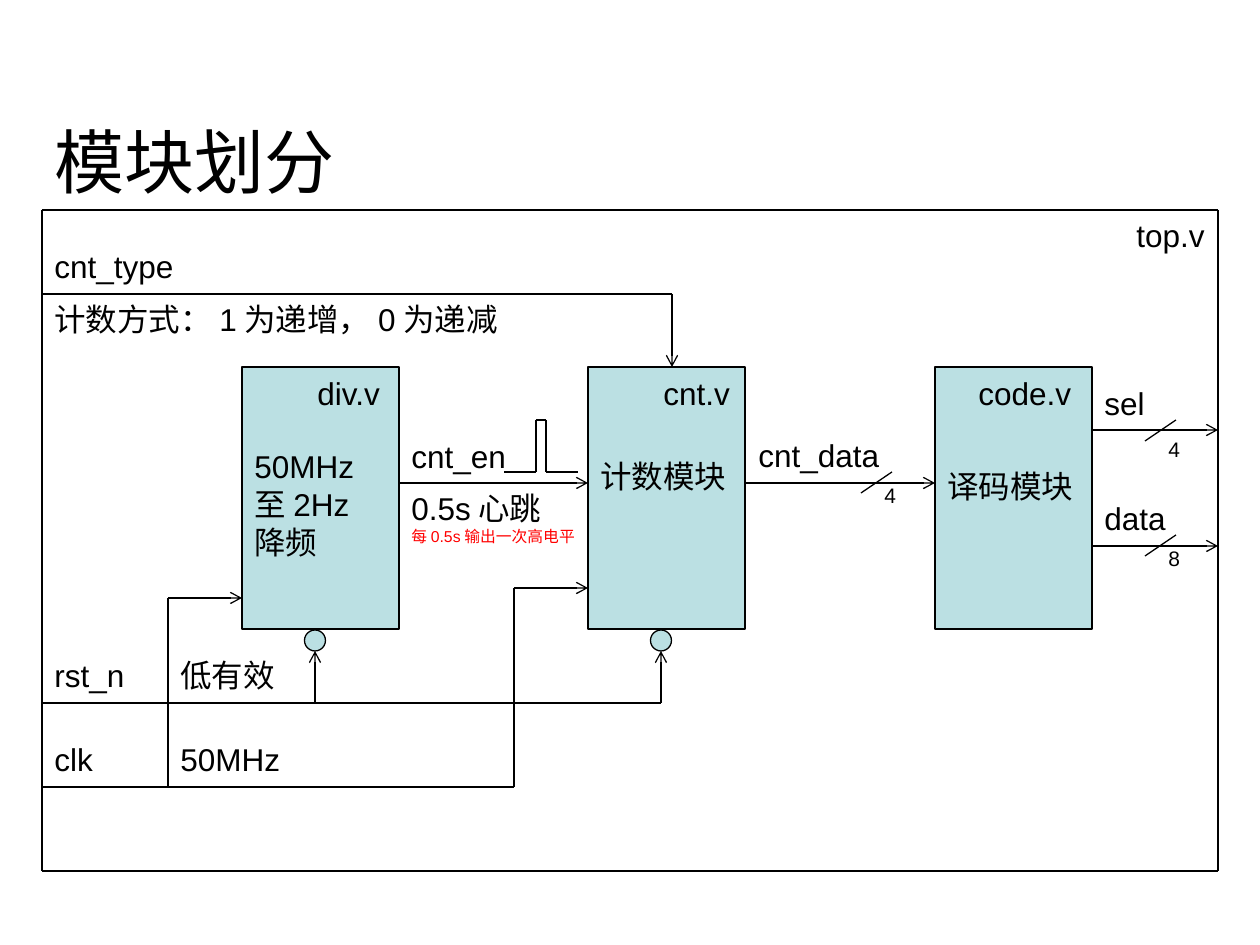
from lxml import etree
from pptx import Presentation
from pptx.dml.color import RGBColor
from pptx.enum.shapes import MSO_CONNECTOR as CONNECTOR, MSO_SHAPE as SHAPE
from pptx.enum.text import MSO_AUTO_SIZE as AUTO_SIZE
from pptx.oxml.ns import qn
from pptx.util import Emu, Pt

PX_PER_INCH = 126
COLORS = {"ink": "000000", "module": "BBE0E3", "note": "FF0000"}
FRAME_LEFT, FRAME_RIGHT, FRAME_TOP, FRAME_BOTTOM = 42, 1218, 210, 871
MODULE_LEFTS = (242, 588, 935)
MODULE_TOP, MODULE_WIDTH, MODULE_HEIGHT = 367, 157, 262
RESET_SIZE = 21


def px(value):
    return Emu(round(value * 914400 / PX_PER_INCH))


def color(name):
    return RGBColor.from_string(COLORS[name])


def add_block(slide, kind, left, top, width, height):
    shape = slide.shapes.add_shape(kind, px(left), px(top), px(width), px(height))
    shape.shadow.inherit = False
    shape.fill.solid()
    shape.fill.fore_color.rgb = color("module")
    shape.line.color.rgb = color("ink")
    shape.line.width = Pt(0.75)


def add_line(slide, start, end, arrow=False):
    connector = slide.shapes.add_connector(
        CONNECTOR.STRAIGHT, *(px(value) for value in (*start, *end)))
    connector.line.color.rgb = color("ink")
    connector.line.width = Pt(0.75)
    if arrow:
        etree.SubElement(connector.line._get_or_add_ln(), qn("a:tailEnd"), type="arrow")
    etree.SubElement(connector._element.spPr, qn("a:effectLst"))


def add_wire(slide, *points, arrow=False):
    """Join the points with lines; the arrowhead goes on the last one."""
    last = len(points) - 2
    for index, (start, end) in enumerate(zip(points, points[1:])):
        add_line(slide, start, end, arrow and index == last)


def add_label(slide, left, top, width, *lines, height=50):
    """Each line is (text, size, colour name)."""
    box = slide.shapes.add_textbox(px(left), px(top), px(width), px(height))
    frame = box.text_frame
    frame.word_wrap = True
    frame.auto_size = AUTO_SIZE.SHAPE_TO_FIT_TEXT
    for index, (text, size, color_name) in enumerate(lines):
        paragraph = frame.add_paragraph() if index else frame.paragraphs[0]
        paragraph.text = text
        paragraph.font.name = "Arial"
        paragraph.font.size = Pt(size)
        paragraph.font.color.rgb = color(color_name)


def add_bus_mark(slide, right, top, width_text, label_top):
    """Slash across a bus, with its bit width below."""
    add_line(slide, (right, top), (right - 31, top + 21))
    add_label(slide, right - 20, label_top, 42, (width_text, 12, "ink"), height=38)


def main():
    presentation = Presentation()
    presentation.slide_width, presentation.slide_height = px(1260), px(945)
    slide = presentation.slides.add_slide(presentation.slide_layouts[6])
    divider, counter, decoder = MODULE_LEFTS

    # Modules
    for left in MODULE_LEFTS:
        add_block(slide, SHAPE.RECTANGLE, left, MODULE_TOP, MODULE_WIDTH, MODULE_HEIGHT)

    # Frame of the top module
    add_wire(slide, (FRAME_LEFT, FRAME_TOP), (FRAME_RIGHT, FRAME_TOP),
             (FRAME_RIGHT, FRAME_BOTTOM), (FRAME_LEFT, FRAME_BOTTOM),
             (FRAME_LEFT, FRAME_TOP))

    # Signals between modules and to the outputs
    for left, right, y in ((divider, counter, 483), (counter, decoder, 483),
                           (decoder, FRAME_RIGHT, 430), (decoder, FRAME_RIGHT, 546)):
        add_line(slide, (left + MODULE_WIDTH, y), (right, y), arrow=True)

    # Count direction input
    add_wire(slide, (FRAME_LEFT, 294), (672, 294), (672, MODULE_TOP), arrow=True)

    # Reset input, inverted at each module
    add_line(slide, (FRAME_LEFT, 703), (661, 703))
    for left in (divider, counter):
        center = left + 73
        add_block(slide, SHAPE.OVAL, center - RESET_SIZE / 2, 630, RESET_SIZE, RESET_SIZE)
        add_line(slide, (center, 703), (center, 651), arrow=True)

    # Clock input
    add_line(slide, (FRAME_LEFT, 787), (514, 787))
    for x, y, left in ((168, 598, divider), (514, 588, counter)):
        add_wire(slide, (x, 787), (x, y), (left, y), arrow=True)

    # Enable pulse
    add_wire(slide, (504, 472), (536, 472), (536, 420), (546, 420), (546, 472), (578, 472))

    # Bus widths
    for right, top, width_text, label_top in ((892, 472, "4", 476), (1176, 420, "4", 430),
                                              (1176, 535, "8", 539)):
        add_bus_mark(slide, right, top, width_text, label_top)

    # Title and labels
    add_label(slide, FRAME_LEFT, 112, 388, ("模块划分", 40, "ink"), height=97)
    for text, left, top, width in (
        ("top.v", 1124, 210, 95),
        ("cnt_type", FRAME_LEFT, 241, 210),
        ("计数方式：1为递增，0为递减", FRAME_LEFT, 294, 494),
        ("rst_n", FRAME_LEFT, 650, 116),
        ("低有效", 168, 650, 231),
        ("clk", FRAME_LEFT, 734, 116),
        ("50MHz", 168, 734, 231),
        ("div.v", 305, 368, 95),
        ("cnt.v", 651, 368, 95),
        ("code.v", 966, 368, 126),
        ("50MHz至2Hz降频", divider, 441, MODULE_WIDTH),
        ("计数模块", counter, 451, MODULE_WIDTH),
        ("译码模块", decoder, 461, MODULE_WIDTH),
        ("cnt_en", 399, 431, 189),
        ("cnt_data", 746, 430, 189),
        ("sel", 1092, 378, 126),
        ("data", 1092, 493, 126),
    ):
        add_label(slide, left, top, width, (text, 18, "ink"))
    add_label(slide, 399, 483, 189, ("0.5s心跳", 18, "ink"),
              ("每0.5s输出一次高电平", 9, "note"), height=69)

    presentation.save("out.pptx")


if __name__ == "__main__":
    main()
